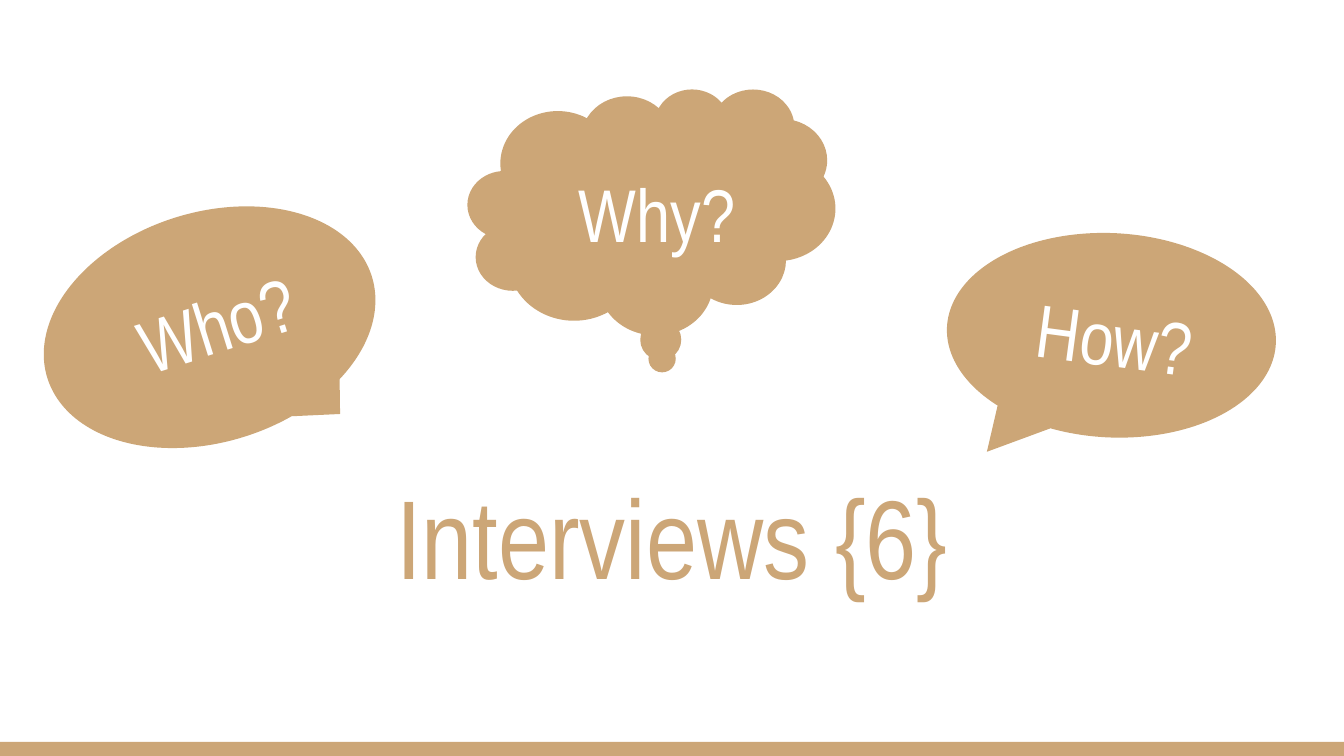
import dataclasses

import pptx
import pptx.dml.color
import pptx.enum.shapes
import pptx.enum.text
import pptx.util

KIND = pptx.enum.shapes.MSO_SHAPE
COLS, ROWS = 100, 56.25
CELL = pptx.util.Inches(0.1)


@dataclasses.dataclass(frozen=True)
class Theme:
    tan: str = "CCA677"
    white: str = "FFFFFF"
    font: str = "Arial Narrow"
    title: int = 60
    label: int = 40


THEME = Theme()


def color(code):
    return pptx.dml.color.RGBColor.from_string(code)


def scale(box):
    return [round(part * CELL) for part in box]


def within(box, share):
    left, top, width, height = box
    x, y, w, h = share
    return left + x * width, top + y * height, w * width, h * height


def write(slide, text, box, size=THEME.label, ink=THEME.white, turn=0):
    item = slide.shapes.add_textbox(*scale(box))
    item.rotation = turn
    frame = item.text_frame
    frame.word_wrap = True
    frame.vertical_anchor = pptx.enum.text.MSO_ANCHOR.MIDDLE
    frame.margin_left = frame.margin_right = CELL
    frame.margin_top = frame.margin_bottom = CELL
    line = frame.paragraphs[0]
    line.alignment = pptx.enum.text.PP_ALIGN.CENTER
    run = line.add_run()
    run.text = text
    run.font.name = THEME.font
    run.font.size = pptx.util.Pt(size)
    run.font.color.rgb = color(ink)


def draw(slide, kind, box, turn=0, tail=()):
    shape = slide.shapes.add_shape(kind, *scale(box))
    shape.shadow.inherit = False
    shape.fill.solid()
    shape.fill.fore_color.rgb = color(THEME.tan)
    shape.line.fill.background()
    shape.rotation = turn
    for index, value in enumerate(tail):
        shape.adjustments[index] = value


def bubble(slide, box, text, kind, tail, share, turn=0, tilt=0):
    draw(slide, kind, box, turn=turn, tail=tail)
    write(slide, text, within(box, share), turn=tilt)


def footer(slide, box):
    draw(slide, KIND.RECTANGLE, box)


def title(slide, box):
    write(slide, "Interviews {6}", box, size=THEME.title, ink=THEME.tan)


def main():
    deck = pptx.Presentation()
    deck.slide_width, deck.slide_height = scale((COLS, ROWS))
    slide = deck.slides.add_slide(deck.slide_layouts[6])
    slide.background.fill.solid()
    slide.background.fill.fore_color.rgb = color(THEME.white)

    footer(slide, (0, ROWS - 1.05, COLS, 1.05))
    bubble(slide, (34.8, 6.6, 27.35, 18.3), "Why?", KIND.CLOUD_CALLOUT,
           (0.03, 0.62), (-0.03, 0.13, 1.09, 0.75))
    bubble(slide, (70.45, 17.35, 24.5, 15.2), "How?", KIND.OVAL_CALLOUT,
           (-0.36, 0.6), (-0.14, 0.06, 1.3, 0.9), turn=2.9, tilt=7.6)
    bubble(slide, (2.95, 15.8, 25.3, 17.1), "Who?", KIND.OVAL_CALLOUT,
           (0.29, 0.53), (0.04, 0.08, 0.96, 0.8), turn=342.6, tilt=342.6)
    title(slide, (27.3, 32.95, 45.4, 13.7))
    deck.save("out.pptx")


if __name__ == "__main__":
    main()
